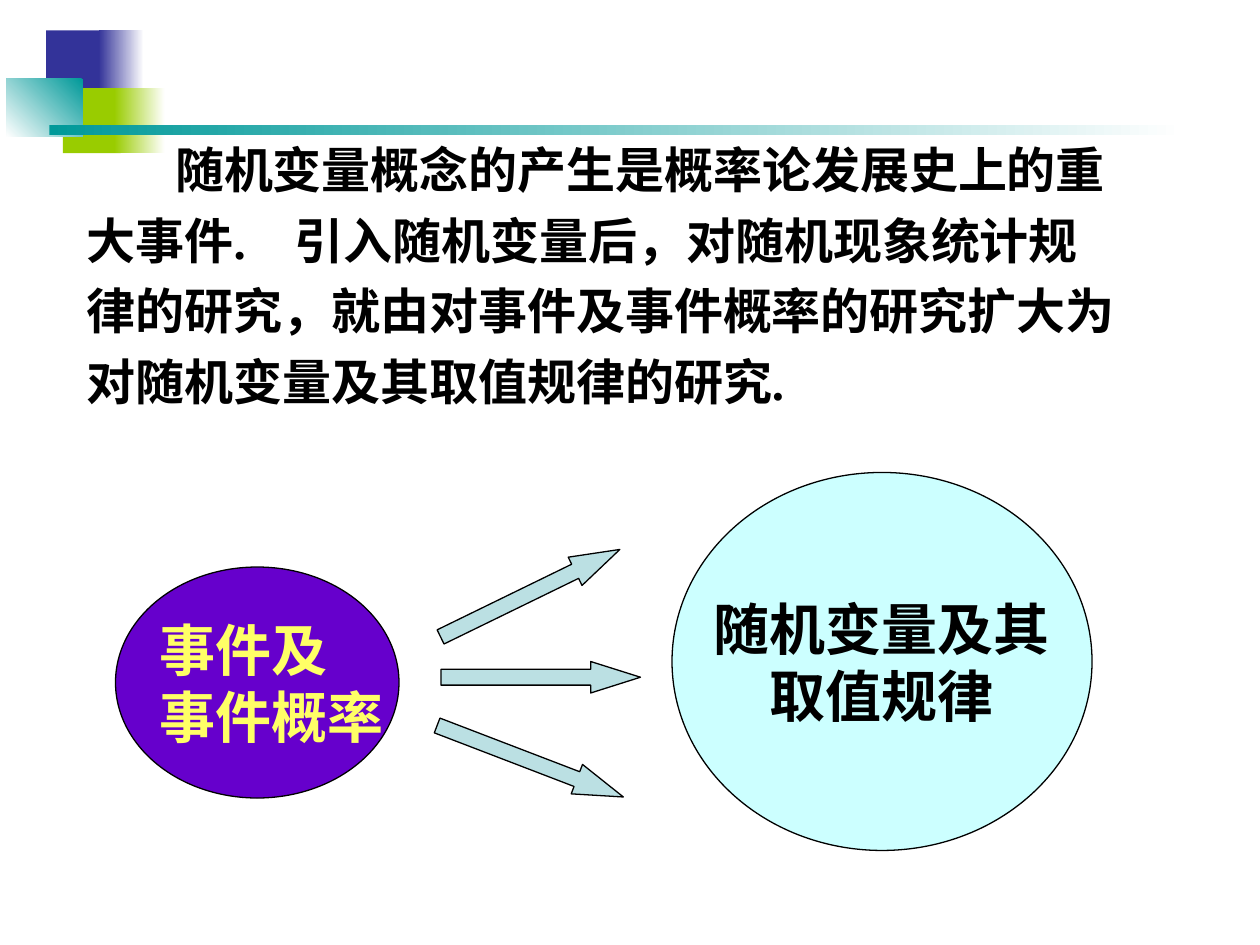
from pptx import Presentation
from pptx import util as u
from pptx.dml.color import RGBColor
from pptx.enum import shapes, text

WHITE = RGBColor(0xFF, 0xFF, 0xFF)
BLACK = RGBColor(0x00, 0x00, 0x00)
NAVY = RGBColor(0x33, 0x33, 0x99)
LIME = RGBColor(0x99, 0xCC, 0x00)
TEAL = RGBColor(0x00, 0x99, 0x99)
VIOLET = RGBColor(0x66, 0x00, 0xCC)
YELLOW = RGBColor(0xFF, 0xFF, 0x66)
MIST = RGBColor(0xBB, 0xE0, 0xE3)
CYAN = RGBColor(0xCC, 0xFF, 0xFF)
KIND = shapes.MSO_SHAPE


class Deck:
    """Draws styled elements on a grid of 120 columns by 90 rows."""

    font = "Times New Roman"

    def __init__(self):
        self.prs = Presentation()
        self.prs.slide_width, self.prs.slide_height = u.Inches(10), u.Inches(7.5)
        self.slide = self.prs.slides.add_slide(self.prs.slide_layouts[6])

    def place(self, box):
        wide, high = self.prs.slide_width / 120, self.prs.slide_height / 90
        x, y, w, h = box
        return round(x * wide), round(y * high), round(w * wide), round(h * high)

    def shape(self, kind, box):
        item = self.slide.shapes.add_shape(kind, *self.place(box))
        item.shadow.inherit = False
        return item

    def bar(self, box, color, fade=None):
        item = self.shape(KIND.RECTANGLE, box)
        item.line.fill.background()
        if fade is None:
            item.fill.solid()
            item.fill.fore_color.rgb = color
            return
        item.fill.gradient()
        item.fill.gradient_angle = fade
        for stop, tone in zip(item.fill.gradient_stops, (color, WHITE)):
            stop.color.rgb = tone

    def solid(self, kind, box, color):
        item = self.shape(kind, box)
        item.fill.solid()
        item.fill.fore_color.rgb = color
        item.line.color.rgb = BLACK
        item.line.width = u.Pt(0.75)
        return item

    def oval(self, box, color):
        return self.solid(KIND.OVAL, box, color)

    def arrow(self, box, turn):
        item = self.solid(KIND.RIGHT_ARROW, box, MIST)
        item.adjustments[0], item.adjustments[1] = 0.5, 1.58
        item.rotation = turn

    def letter(self, item, words, size, color, align=text.PP_ALIGN.LEFT, wrap=False):
        frame = item.text_frame
        frame.word_wrap = wrap
        frame.text = words
        for para in frame.paragraphs:
            para.alignment = align
            for run in para.runs:
                run.font.name = self.font
                run.font.size = u.Pt(size)
                run.font.bold = True
                run.font.color.rgb = color
        return frame

    def label(self, box, words, size, color, wrap=False):
        item = self.slide.shapes.add_textbox(*self.place(box))
        return self.letter(item, words, size, color, wrap=wrap)

    def save(self):
        self.prs.save("out.pptx")


def main():
    deck = Deck()

    deck.bar((4.4, 2.9, 5.8, 6.2), NAVY)
    deck.bar((9.4, 2.9, 4.3, 6.2), NAVY, 0)
    deck.bar((6, 8.4, 5.5, 6.2), LIME)
    deck.bar((10.9, 8.4, 4.8, 6.2), LIME, 0)
    deck.bar((0.6, 7.5, 7.3, 5.5), TEAL, 225)
    deck.bar((4.7, 11.9, 108, 1), TEAL, 0)

    body = deck.label(
        (7.1, 11.6, 101.2, 28.1),
        "随机变量概念的产生是概率论发展史上的重大事件.　引入随机变量后，"
        "对随机现象统计规律的研究，就由对事件及事件概率的研究扩大为"
        "对随机变量及其取值规律的研究.",
        28, BLACK, wrap=True)
    lead = body.paragraphs[0]
    lead.line_spacing = 1.2
    lead._p.get_or_add_pPr().set("indent", str(u.Inches(0.7)))

    deck.oval((11, 54, 27, 22), VIOLET)
    deck.label((14, 58, 23.8, 14), "事件及\n事件概率", 32, YELLOW)
    for col, row, turn in ((42, 63, 0), (41, 55, 334), (41, 71, 21)):
        deck.arrow((col, row, 19, 3), turn)
    goal = deck.oval((64, 45, 40, 36), CYAN)
    deck.letter(goal, "随机变量及其\n取值规律", 32, BLACK, text.PP_ALIGN.CENTER)

    deck.save()


if __name__ == "__main__":
    main()
